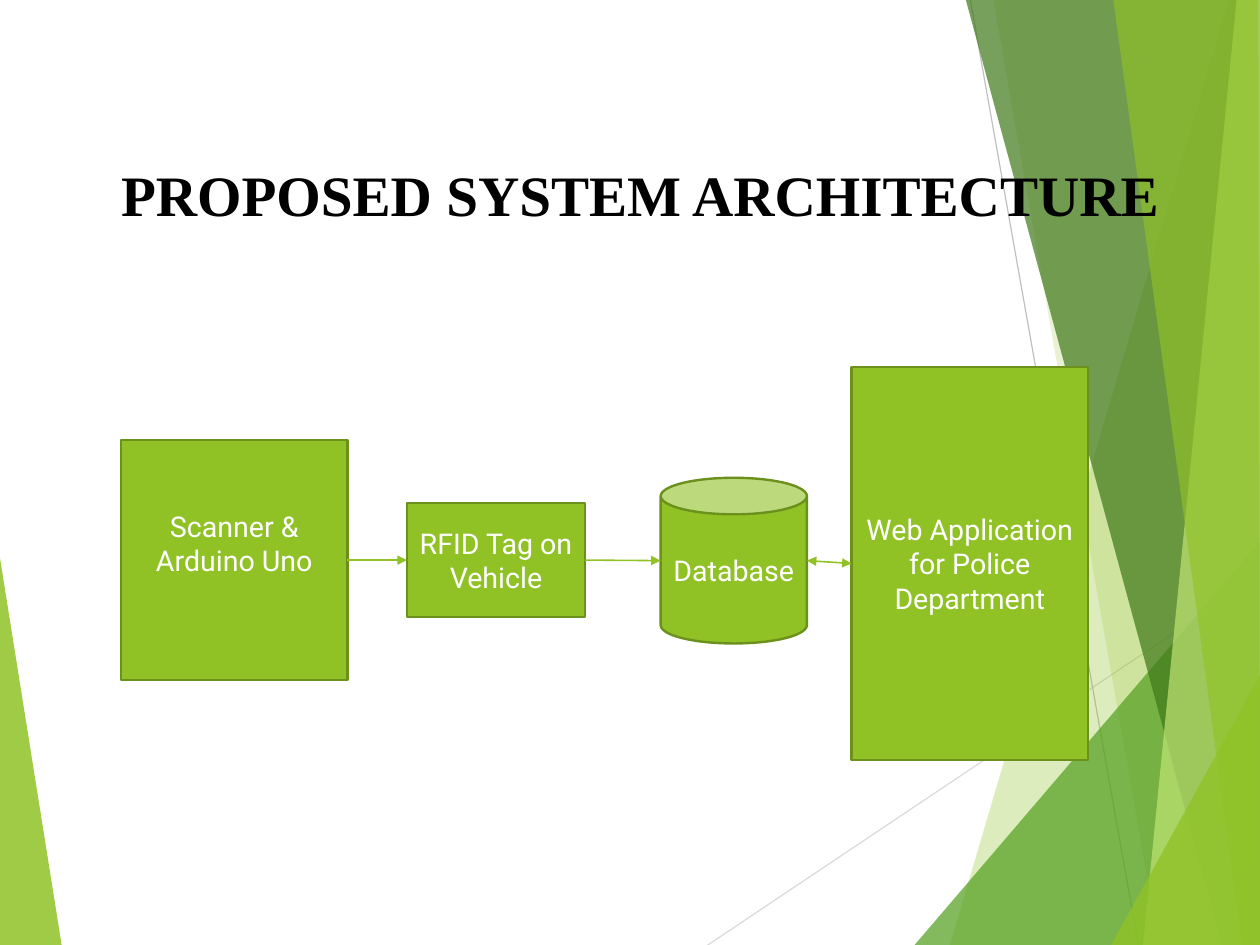
from lxml import etree
from pptx import Presentation
from pptx.dml.color import RGBColor
from pptx.enum import shapes, text
from pptx.oxml import ns
from pptx.util import Cm, Inches, Pt

SLIDE_SIZE = Cm(28), Cm(21)
RIGHT, BOTTOM = 11.03, 8.27  # Edges that the facets run out to, in inches
LIME = RGBColor(0x90, 0xC2, 0x26)
PALE_LIME = RGBColor(0xC0, 0xE4, 0x74)
GREEN = RGBColor(0x54, 0xA0, 0x21)
DARK_GREEN = RGBColor(0x3F, 0x78, 0x19)
OUTLINE = RGBColor(0x6B, 0x90, 0x1C)
LIGHT_GREY = RGBColor(0xD9, 0xD9, 0xD9)
GREY = RGBColor(0xBF, 0xBF, 0xBF)
BLACK = RGBColor(0, 0, 0)
WHITE = RGBColor(0xFF, 0xFF, 0xFF)

TITLE = "PROPOSED SYSTEM ARCHITECTURE"
RECT, CAN = shapes.MSO_SHAPE.RECTANGLE, shapes.MSO_SHAPE.CAN

# Label, shape, (left, top, width, height), bottom inset
BLOCKS = [
    ("Scanner & Arduino Uno", RECT, (1.06, 3.85, 1.98, 2.1), 0.35),
    ("RFID Tag on Vehicle", RECT, (3.56, 4.4, 1.56, 1), 0.05),
    ("Database", CAN, (5.78, 4.18, 1.28, 1.45), 0.05),
    ("Web Application for Police Department", RECT, (7.45, 3.21, 2.07, 3.44), 0.05),
]
# Arrowheads on the link from each block to the next
LINKS = [("tailEnd",), ("tailEnd",), ("headEnd", "tailEnd")]

RAYS = [
    ((6.19, BOTTOM), (RIGHT, 5.03), LIGHT_GREY),
    ((8.49, 0), (9.96, BOTTOM), GREY),
]
TOP_CORNER, BOTTOM_CORNER = (RIGHT, 0), (RIGHT, BOTTOM)
# Corner points, colour, opacity in percent
FACETS = [
    ([(0, 4.88), (0.54, BOTTOM), (0, BOTTOM)], LIME, 85),
    ([(10.75, 0), (8.31, BOTTOM), BOTTOM_CORNER, TOP_CORNER], LIME, 30),
    ([(8.69, 0), (10.14, BOTTOM), BOTTOM_CORNER, TOP_CORNER], LIME, 20),
    ([(8, BOTTOM), (RIGHT, 4.73), BOTTOM_CORNER], GREEN, 72),
    ([(8.45, 0), (10.69, BOTTOM), BOTTOM_CORNER, TOP_CORNER], DARK_GREEN, 70),
    ([(10.82, 0), (10, BOTTOM), BOTTOM_CORNER, TOP_CORNER], PALE_LIME, 70),
    ([(9.74, 0), (10.87, BOTTOM), (11.02, BOTTOM), (11.01, 0)], LIME, 65),
    ([(9.72, BOTTOM), (RIGHT, 5.9), BOTTOM_CORNER], LIME, 80),
]


def add_facet(s, points, color, opacity):
    corners = [(Inches(x), Inches(y)) for x, y in points]
    builder = s.shapes.build_freeform(*corners[0])
    builder.add_line_segments(corners[1:], close=True)
    sp = builder.convert_to_shape()
    sp.shadow.inherit = False
    sp.line.fill.background()
    sp.fill.solid()
    sp.fill.fore_color.rgb = color
    clr = sp._element.spPr.find(".//" + ns.qn("a:srgbClr"))
    etree.SubElement(clr, ns.qn("a:alpha"), val=str(opacity * 1000))


def add_line(s, start, end, color, width, heads=()):
    ends = [Inches(v) for v in (*start, *end)]
    c = s.shapes.add_connector(shapes.MSO_CONNECTOR.STRAIGHT, *ends)
    c.line.color.rgb = color
    c.line.width = Pt(width)
    ln = c._element.spPr.find(ns.qn("a:ln"))
    for head in heads:
        etree.SubElement(ln, ns.qn("a:" + head), type="triangle")
    etree.SubElement(c._element.spPr, ns.qn("a:effectLst"))


def write(sp, words, font, size, color, align, bold=False):
    tf = sp.text_frame
    tf.word_wrap = True
    tf.vertical_anchor = text.MSO_ANCHOR.MIDDLE
    p = tf.paragraphs[0]
    p.alignment = align
    r = p.add_run()
    r.text = words
    r.font.name = font
    r.font.size = Pt(size)
    r.font.bold = bold
    r.font.color.rgb = color
    return tf


def add_block(s, label, kind, box, bottom):
    sp = s.shapes.add_shape(kind, *map(Inches, box))
    sp.shadow.inherit = False
    sp.fill.solid()
    sp.fill.fore_color.rgb = LIME
    sp.line.color.rgb = OUTLINE
    sp.line.width = Pt(1.5)
    tf = write(sp, label, "Roboto", 18, WHITE, text.PP_ALIGN.CENTER)
    tf.margin_bottom = Inches(bottom)


def add_title(s):
    sp = s.shapes.add_textbox(*map(Inches, (1.06, 1.09, 9.7, 1.21)))
    tf = write(sp, TITLE, "Times New Roman", 36, BLACK, text.PP_ALIGN.LEFT, bold=True)
    tf.margin_left = tf.margin_top = tf.margin_right = tf.margin_bottom = 0


def main():
    prs = Presentation()
    prs.slide_width, prs.slide_height = SLIDE_SIZE
    s = prs.slides.add_slide(prs.slide_layouts[6])
    for start, end, color in RAYS:
        add_line(s, start, end, color, 0.75)
    for facet in FACETS:
        add_facet(s, *facet)
    add_title(s)
    for block in BLOCKS:
        add_block(s, *block)
    boxes = [block[2] for block in BLOCKS]
    for (x, y, w, h), (nx, ny, _, nh), heads in zip(boxes, boxes[1:], LINKS):
        add_line(s, (x + w, y + h / 2), (nx, ny + nh / 2), LIME, 1, heads)
    prs.save("out.pptx")


if __name__ == "__main__":
    main()
